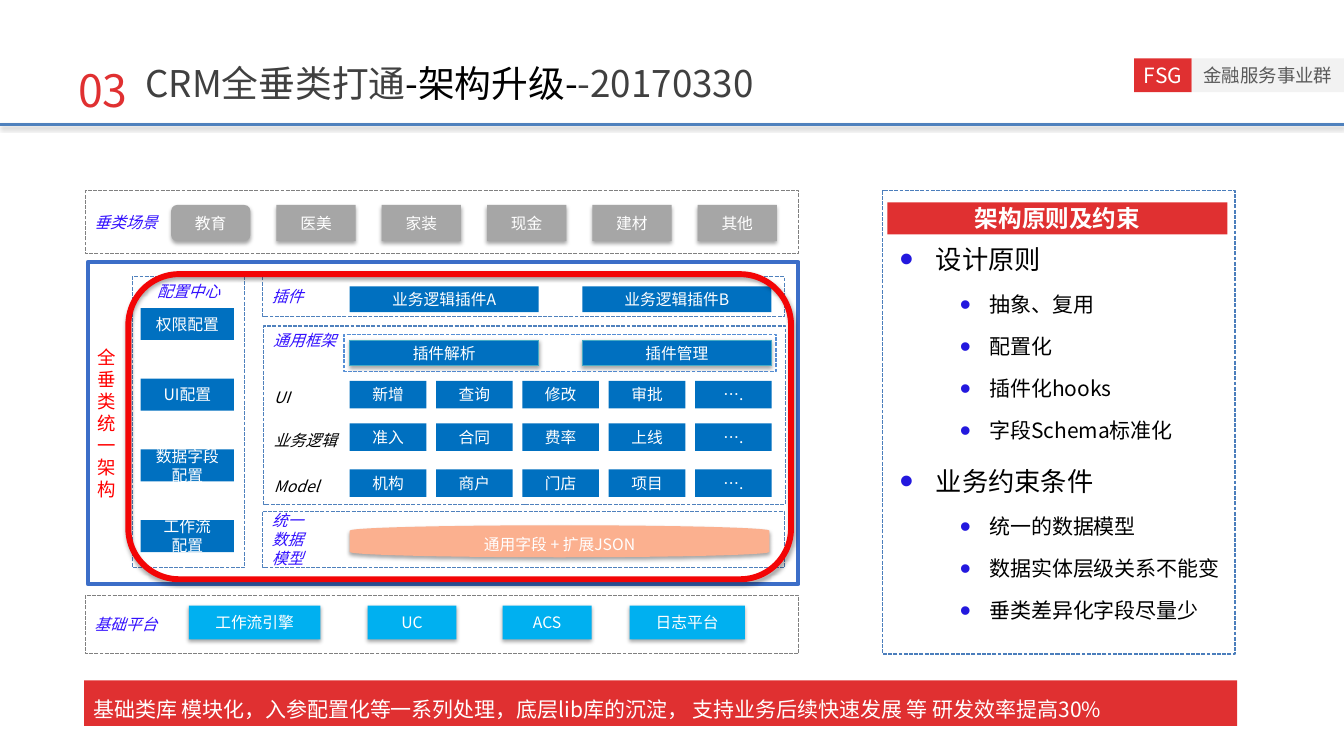
from lxml.etree import SubElement
from pptx import Presentation
from pptx.dml.color import RGBColor
from pptx.enum.dml import MSO_LINE_DASH_STYLE as Dash
from pptx.enum.shapes import MSO_CONNECTOR as Connector, MSO_SHAPE as Shape
from pptx.enum.text import MSO_ANCHOR as Anchor, PP_ALIGN as Align
from pptx.oxml.ns import qn
from pptx.util import Cm, Pt

# Content
SECTION = "03"
TITLE = [("CRM全垂类打通", "dark"), ("-架构升级-", "black"), ("-20170330", "dark")]
BADGE, DEPARTMENT = "FSG", "金融服务事业群"
SCENES = ["教育", "医美", "家装", "现金", "建材", "其他"]
PLATFORM = [("工作流引擎", 5.08, 3.53), ("UC", 9.88, 2.39),
            ("ACS", 13.51, 2.39), ("日志平台", 16.92, 3.1)]
CONFIGS = ["权限配置", "UI配置", "数据字段\n配置", "工作流\n配置"]
PLUGINS = ["业务逻辑插件A", "业务逻辑插件B"]
PLUGIN_TOOLS = ["插件解析", "插件管理"]
LAYERS = [  # label, label width, top of the cells, cells
    ("UI", 1.65, 10.24, ["新增", "查询", "修改", "审批", "…."]),
    ("业务逻辑", 2.72, 11.38, ["准入", "合同", "费率", "上线", "…."]),
    ("Model", 2.51, 12.62, ["机构", "商户", "门店", "项目", "…."]),
]
RULES_TITLE = "架构原则及约束"
RULES = [
    ("设计原则", ["抽象、复用", "配置化", "插件化hooks", "字段Schema标准化"]),
    ("业务约束条件", ["统一的数据模型", "数据实体层级关系不能变", "垂类差异化字段尽量少"]),
]
SUMMARY = ("基础类库 模块化，入参配置化等一系列处理，底层lib库的沉淀， "
           "支持业务后续快速发展 等 研发效率提高30%")

THEME = {
    "font": "Noto Sans CJK SC",
    "colors": {
        "red": "E03031", "pale": "F2F2F2", "gray_text": "595959", "dark": "404040",
        "black": "000000", "white": "FFFFFF", "label": "3311FE", "bullet": "2318DE",
        "gray": "A6A6A6", "gray_line": "808080", "cyan": "00B0F0", "blue": "0070C0",
        "blue_line": "4F81BD", "inner_line": "558ED5", "rules_line": "4B7EBC",
        "tool_line": "46AAC5", "core_line": "3C6EC8", "peach": "FBB08F",
        "alert": "FF0000", "ring": "F30506",
    },
    "sizes": {"section": 34, "title": 28, "head": 20, "rules": 18, "body": 16,
              "small": 14, "box": 12},
}
FRAME = dict(fill="white", dash=True, color="label", italic=True, align=Align.LEFT)
GRAY_FRAME = dict(FRAME, line="gray_line")
BLUE_FRAME = dict(FRAME, line="blue_line")
BLUE_BOX = dict(fill="blue")
TOOL_BOX = dict(fill="blue", line="tool_line", weight=0.75, shadow=True)


def rgb(name):
    return RGBColor.from_string(THEME["colors"][name])


def add_run(p, text, size, color, bold=False, italic=False):
    r = p.add_run()
    r.text = text
    font = r.font
    font.size, font.bold, font.italic = Pt(THEME["sizes"][size]), bold, italic
    font.color.rgb = rgb(color)
    font.name = THEME["font"]
    SubElement(r._r.get_or_add_rPr(), qn("a:ea"), typeface=THEME["font"])


def add_shadow(effects, alpha, distance):
    """Put a soft downward shadow in an effect list; alpha in percent."""
    shadow = SubElement(effects, qn("a:outerShdw"), blurRad=str(Pt(3.1)),
                        dist=str(Pt(distance)), dir="5400000", rotWithShape="0")
    color = SubElement(shadow, qn("a:srgbClr"), val=THEME["colors"]["black"])
    SubElement(color, qn("a:alpha"), val=str(alpha * 1000))


def add_box(s, box, text="", kind=Shape.RECTANGLE, fill=None, line=None, weight=1,
            dash=False, shadow=False, size="box", color="white", bold=False,
            italic=False, align=Align.CENTER, anchor=Anchor.MIDDLE, spacing=None):
    """Add a shape; each line of text becomes a paragraph."""
    sp = s.shapes.add_shape(kind, *map(Cm, box))
    sp.shadow.inherit = False
    if shadow:
        add_shadow(sp._element.spPr.find(qn("a:effectLst")), 35, 1.8)
    if fill:
        sp.fill.solid()
        sp.fill.fore_color.rgb = rgb(fill)
    else:
        sp.fill.background()
    if line:
        sp.line.color.rgb = rgb(line)
        sp.line.width = Pt(weight)
        if dash:
            sp.line.dash_style = Dash.SQUARE_DOT
    else:
        sp.line.fill.background()
    if text:
        tf = sp.text_frame
        tf.word_wrap, tf.vertical_anchor = True, anchor
        for i, part in enumerate(text.split("\n")):
            p = tf.paragraphs[0] if i == 0 else tf.add_paragraph()
            p.alignment, p.line_spacing = align, spacing
            add_run(p, part, size, color, bold, italic)


def add_text(s, box, runs, size, spacing=None, wrap=True, italic=False,
             align=Align.LEFT, anchor=Anchor.MIDDLE):
    tf = s.shapes.add_textbox(*map(Cm, box)).text_frame
    tf.word_wrap, tf.vertical_anchor = wrap, anchor
    p = tf.paragraphs[0]
    p.alignment, p.line_spacing = align, spacing
    for text, color in runs:
        add_run(p, text, size, color, italic=italic)


def add_row(s, texts, left, top, step, width, height, **style):
    for i, text in enumerate(texts):
        add_box(s, (left + i * step, top, width, height), text, **style)


def add_bullet(p, left, hanging):
    pPr = p._p.get_or_add_pPr()
    pPr.set("marL", str(Cm(left)))
    pPr.set("indent", str(Cm(-hanging)))
    SubElement(SubElement(pPr, qn("a:buClr")), qn("a:srgbClr"),
               val=THEME["colors"]["bullet"])
    SubElement(pPr, qn("a:buSzPct"), val="150000")
    SubElement(pPr, qn("a:buFont"), typeface="Arial")
    SubElement(pPr, qn("a:buChar"), char="•")


def draw_header(s):
    add_box(s, (30.48, 1.57, 1.55, 0.91), BADGE, fill="red", size="body")
    add_box(s, (32.03, 1.57, 4.09, 0.91), DEPARTMENT, fill="pale", size="small",
            color="gray_text")
    rule = s.shapes.add_connector(Connector.STRAIGHT, 0, Cm(3.35), Cm(36.12), Cm(3.35))
    rule.line.color.rgb = rgb("blue_line")
    rule.line.width = Pt(2)
    add_shadow(SubElement(rule._element.spPr, qn("a:effectLst")), 38, 1.6)
    add_text(s, (1.8, 0.23, 1.93, 2.92), [(SECTION, "red")], "section", spacing=2.0,
             wrap=False, align=Align.CENTER)
    add_text(s, (3.66, 1.04, 26.19, 1.78), TITLE, "title", spacing=1.5)


def draw_architecture(s):
    add_box(s, (2.29, 16, 19.18, 1.57), "基础平台", **GRAY_FRAME)
    for text, left, width in PLATFORM:
        add_box(s, (left, 16.28, width, 0.91), text, fill="cyan", shadow=True)

    add_box(s, (2.29, 5.13, 19.18, 1.68), "垂类场景", **GRAY_FRAME)
    for i, text in enumerate(SCENES):
        kind = Shape.RECTANGLE if i else Shape.ROUNDED_RECTANGLE
        add_box(s, (4.6 + 2.83 * i, 5.51, 2.13, 0.97), text, kind, fill="gray", shadow=True)

    add_box(s, (2.36, 7.04, 19.1, 8.66), "\n".join("全垂类统一架构"), fill="white",
            line="core_line", weight=3, size="small", color="alert", align=Align.LEFT)
    add_box(s, (3.56, 7.44, 3.02, 7.82), "配置中心",
            **dict(BLUE_FRAME, align=Align.CENTER, anchor=Anchor.TOP))
    for i, text in enumerate(CONFIGS):
        add_box(s, (3.78, 8.28 + 1.9 * i, 2.51, 0.86), text, **BLUE_BOX)

    add_box(s, (7.06, 13.74, 14.02, 1.52), "统一\n数据\n模型", **BLUE_FRAME)
    add_box(s, (9.4, 14.12, 11.28, 0.86), "通用字段 + 扩展JSON",
            Shape.FLOWCHART_MAGNETIC_DISK, fill="peach", shadow=True)

    add_box(s, (7.09, 8.76, 14.02, 4.8), "通用框架", anchor=Anchor.TOP, **BLUE_FRAME)
    for label, width, top, cells in LAYERS:
        add_text(s, (7.11, top + 0.07, width, 0.71), [(label, "black")], "box",
                 italic=True, anchor=Anchor.TOP)
        add_row(s, cells, 9.4, top, 2.32, 2.06, 0.74, **BLUE_BOX)

    add_box(s, (7.06, 7.44, 14.02, 1.07), "插件", **BLUE_FRAME)
    add_row(s, PLUGINS, 9.4, 7.7, 6.25, 5.08, 0.69, **BLUE_BOX)
    add_box(s, (9.25, 8.99, 11.61, 0.99), fill="white", line="inner_line", dash=True)
    add_row(s, PLUGIN_TOOLS, 9.4, 9.14, 6.25, 5.08, 0.69, **TOOL_BOX)


def draw_rules(s):
    tf = s.shapes.add_textbox(*map(Cm, (23.85, 4.93, 10.54, 12.09))).text_frame
    tf.word_wrap = True
    tf.margin_left = tf.margin_right = Cm(0.33)
    tf.margin_top, tf.margin_bottom = Cm(1.02), Cm(0.15)
    rows = []
    for head, points in RULES:
        rows.append((head, "head", 41, 0.97, 0.97))
        rows += [(point, "body", 32, 2.41, 0.79) for point in points]
    for i, (text, size, pitch, left, hanging) in enumerate(rows):
        p = tf.add_paragraph() if i else tf.paragraphs[0]
        p.line_spacing = Pt(pitch)
        add_bullet(p, left, hanging)
        add_run(p, text, size, "black")
    add_box(s, (23.85, 5.44, 9.14, 0.86), RULES_TITLE, fill="red", size="rules", bold=True)
    add_box(s, (23.72, 5.13, 9.47, 12.45), line="rules_line", dash=True)


def main():
    prs = Presentation()
    prs.slide_width, prs.slide_height = Cm(36.12), Cm(20.32)
    s = prs.slides.add_slide(prs.slide_layouts[6])
    draw_header(s)
    draw_architecture(s)
    draw_rules(s)
    add_box(s, (2.26, 18.29, 30.99, 1.22), SUMMARY, fill="red", size="body",
            align=Align.LEFT, spacing=1.5)
    add_box(s, (3.45, 7.37, 17.81, 8.2), kind=Shape.ROUNDED_RECTANGLE, line="ring",
            weight=4.5, shadow=True)
    prs.save("out.pptx")


if __name__ == "__main__":
    main()
